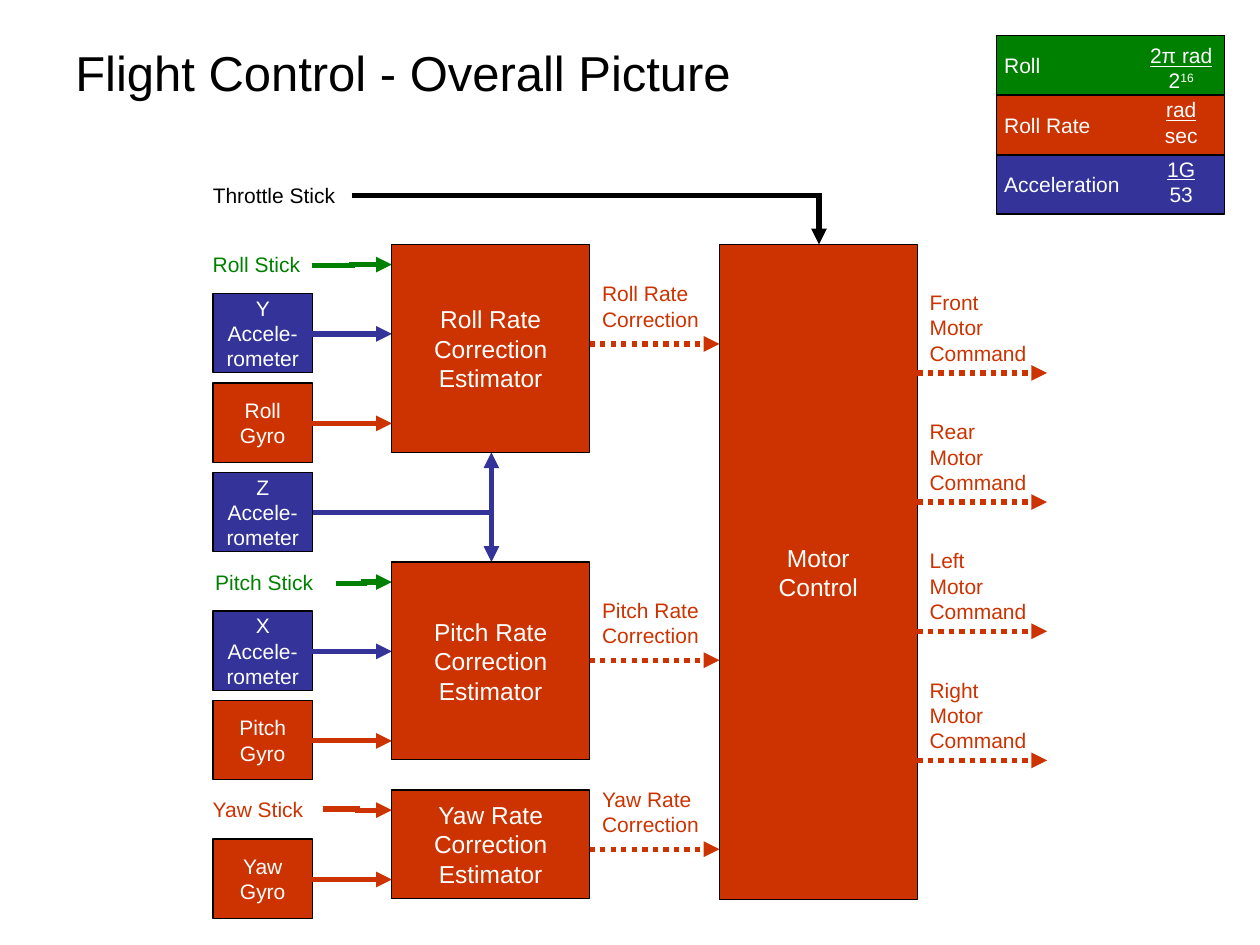
"""Build the flight control overview slide with python-pptx."""
import pptx
import pptx.util
import pptx.dml.color
import pptx.enum.dml
import pptx.enum.shapes
import pptx.enum.text
import pptx.oxml.ns
from lxml import etree

Inches = pptx.util.Inches
Pt = pptx.util.Pt
qn = pptx.oxml.ns.qn
ALIGN = pptx.enum.text.PP_ALIGN
ANCHOR = pptx.enum.text.MSO_ANCHOR
CONNECTOR = pptx.enum.shapes.MSO_CONNECTOR

COLORS = {
    "angle": "008000",
    "rate": "CC3300",
    "accel": "333399",
    "black": "000000",
    "white": "FFFFFF",
}
MARGINS = (0.1, 0.05)
LEGEND_MARGINS = (0.06, 0.01)
FRACTION_MARGINS = (0.02, 0.01)
SENSOR_LEFT, SENSOR_WIDTH, SENSOR_HEIGHT = 1.69, 0.79, 0.63
SENSOR_RIGHT = SENSOR_LEFT + SENSOR_WIDTH
BLOCK_LEFT, BLOCK_WIDTH = 3.11, 1.57
BLOCK_RIGHT = BLOCK_LEFT + BLOCK_WIDTH
MOTOR_LEFT, MOTOR_TOP, MOTOR_HEIGHT = 5.71, 1.94, 5.2
MOTOR_RIGHT = MOTOR_LEFT + BLOCK_WIDTH
OUTPUT_LENGTH = 1.03
COMMAND_PITCH = 1.025

STICKS = [
    ("Throttle Stick", "black", (1.59, 1.4, 1.21, 0.3)),
    ("Roll Stick", "angle", (1.59, 1.95, 0.93, 0.3)),
    ("Pitch Stick", "angle", (1.61, 4.47, 1.05, 0.3)),
    ("Yaw Stick", "rate", (1.59, 6.27, 0.97, 0.3)),
]
STICK_ARROWS = [
    ("angle", (2.48, 2.11), (BLOCK_LEFT, 2.1)),
    ("angle", (2.67, 4.63), (BLOCK_LEFT, 4.62)),
    ("rate", (2.56, 6.42), (BLOCK_LEFT, 6.43)),
]
CORNER_ARROWS = [
    ("accel", (SENSOR_RIGHT, 4.07), (3.9, 3.59)),
    ("accel", (SENSOR_RIGHT, 4.07), (3.9, 4.46)),
    ("black", (2.79, 1.55), (6.5, MOTOR_TOP)),
]
SENSORS = [
    ("Y\nAccele-\nrometer", "accel", 2.33, True),
    ("Roll\nGyro", "rate", 3.04, True),
    ("Z\nAccele-\nrometer", "accel", 3.75, False),
    ("X\nAccele-\nrometer", "accel", 4.85, True),
    ("Pitch\nGyro", "rate", 5.56, True),
    ("Yaw\nGyro", "rate", 6.66, True),
]
ESTIMATORS = [
    ("Roll Rate", 1.94, 1.65, 2.18),
    ("Pitch Rate", 4.46, 1.57, 4.69),
    ("Yaw Rate", 6.27, 0.86, 6.19),
]
LEGEND = [
    ("Roll", "angle", 0.28, 0.33, "2π rad", "2", "16"),
    ("Roll Rate", "rate", 0.76, 0.76, "rad", "sec", ""),
    ("Acceleration", "accel", 1.23, 1.23, "1G", "53", ""),
]


def rgb(name):
    """Return the named colour."""
    return pptx.dml.color.RGBColor.from_string(COLORS[name])


def set_values(target, values):
    """Set attributes from a dict of format values."""
    for name, value in values.items():
        setattr(target, name, value)


def style_font(font, color, size):
    """Apply the typeface, size and colour."""
    set_values(font, {"name": "Arial", "size": Pt(size)})
    font.color.rgb = rgb(color)


def write_text(shape, lines, color, size=12, align=ALIGN.LEFT,
               anchor=ANCHOR.TOP, margins=MARGINS, wrap=False):
    """Write one paragraph for each line of text into a shape."""
    across, down = (Inches(margin) for margin in margins)
    frame = shape.text_frame
    set_values(frame, {
        "margin_left": across, "margin_right": across,
        "margin_top": down, "margin_bottom": down,
        "vertical_anchor": anchor, "word_wrap": wrap,
    })
    for index, line in enumerate(lines):
        para = frame.add_paragraph() if index else frame.paragraphs[0]
        para.text = line
        para.alignment = align
        for span in para.runs:
            style_font(span.font, color, size)
        for line_break in para._p.findall(qn("a:br")):
            etree.SubElement(line_break, qn("a:rPr"), sz=str(size * 100))
    return frame


def add_label(page, at, lines, color, grow=True, **text_format):
    """Add a text box."""
    box = page.shapes.add_textbox(*map(Inches, at))
    frame = write_text(box, lines, color, **text_format)
    if grow:
        frame.auto_size = pptx.enum.text.MSO_AUTO_SIZE.SHAPE_TO_FIT_TEXT
    return frame


def add_block(page, at, lines, fill, align=ALIGN.CENTER, **text_format):
    """Add a filled rectangle with white text."""
    kind = pptx.enum.shapes.MSO_SHAPE.RECTANGLE
    block = page.shapes.add_shape(kind, *map(Inches, at))
    block.shadow.inherit = False
    block.fill.solid()
    block.fill.fore_color.rgb = rgb(fill)
    block.line.color.rgb = rgb("black")
    block.line.width = Pt(0.75)
    write_text(block, lines, "white", align=align, anchor=ANCHOR.MIDDLE, **text_format)


def add_arrow(page, start, end, color, kind=CONNECTOR.STRAIGHT, dotted=False, corner=False):
    """Add an arrow, straight, stepped or with a single corner."""
    arrow = page.shapes.add_connector(kind, *map(Inches, start + end))
    arrow.line.color.rgb = rgb(color)
    arrow.line.width = Pt(3)
    if dotted:
        arrow.line.dash_style = pptx.enum.dml.MSO_LINE.ROUND_DOT
    properties = arrow._element.spPr
    if corner:
        properties.find(qn("a:prstGeom")).set("prst", "bentConnector2")
    outline = properties.find(qn("a:ln"))
    etree.SubElement(outline, qn("a:miter"), lim="800000")
    etree.SubElement(outline, qn("a:tailEnd"), type="triangle")
    etree.SubElement(properties, qn("a:effectLst"))


def add_output(page, left, top, lines, height, arrow_y):
    """Add a signal label with the dotted arrow below it."""
    add_label(page, (left, top, 0.97, height), lines, "rate")
    add_arrow(page, (left, arrow_y), (left + OUTPUT_LENGTH, arrow_y), "rate", dotted=True)


def add_inputs(page):
    """Add the sticks and sensors with their arrows."""
    for text, color, at in STICKS:
        add_label(page, at, [text], color, wrap=True)
    for color, start, end in STICK_ARROWS:
        add_arrow(page, start, end, color, CONNECTOR.ELBOW)
    for color, start, end in CORNER_ARROWS:
        add_arrow(page, start, end, color, CONNECTOR.ELBOW, corner=True)
    for text, color, top, direct in SENSORS:
        add_block(page, (SENSOR_LEFT, top, SENSOR_WIDTH, SENSOR_HEIGHT), [text], color)
        if direct:
            middle = top + 0.32
            add_arrow(page, (SENSOR_RIGHT, middle), (BLOCK_LEFT, middle), color)


def add_control(page):
    """Add the estimators, the motor control and their outputs."""
    for name, top, height, label_top in ESTIMATORS:
        add_block(page, (BLOCK_LEFT, top, BLOCK_WIDTH, height),
                  [name, "Correction", "Estimator"], "rate", size=14)
        add_output(page, BLOCK_RIGHT, label_top, [name, "Correction"], 0.5, label_top + 0.55)
    add_block(page, (MOTOR_LEFT, MOTOR_TOP, BLOCK_WIDTH, MOTOR_HEIGHT),
              ["Motor", "Control"], "rate", size=14)
    for index, side in enumerate(["Front", "Rear", "Left", "Right"]):
        top = 2.25 + index * COMMAND_PITCH
        add_output(page, MOTOR_RIGHT, top, [side, "Motor", "Command"], 0.7, top + 0.71)


def add_legend(page):
    """Add the colour key with the unit of each quantity."""
    for name, color, top, unit_top, upper, lower, power in LEGEND:
        add_block(page, (7.91, top, 1.81, 0.47), [name], color,
                  align=ALIGN.LEFT, margins=LEGEND_MARGINS)
        frame = add_label(page, (9.03, unit_top, 0.69, 0.42), [upper, lower], "white",
                          align=ALIGN.CENTER, margins=FRACTION_MARGINS, wrap=True)
        numerator, denominator = frame.paragraphs
        numerator.runs[0].font.underline = True
        if power:
            span = denominator.add_run()
            span.text = power
            style_font(span.font, "white", 12)
            span._r.get_or_add_rPr().set("baseline", "30000")


def main():
    """Build and save the deck."""
    deck = pptx.Presentation()
    set_values(deck, {"slide_width": Inches(10), "slide_height": Inches(7.5)})
    page = deck.slides.add_slide(deck.slide_layouts[6])
    add_label(page, (0.5, 0.3, 9, 0.54), ["Flight Control - Overall Picture"], "black",
              grow=False, size=28, anchor=ANCHOR.MIDDLE, wrap=True)
    add_inputs(page)
    add_control(page)
    add_legend(page)
    deck.save("out.pptx")


if __name__ == "__main__":
    main()
